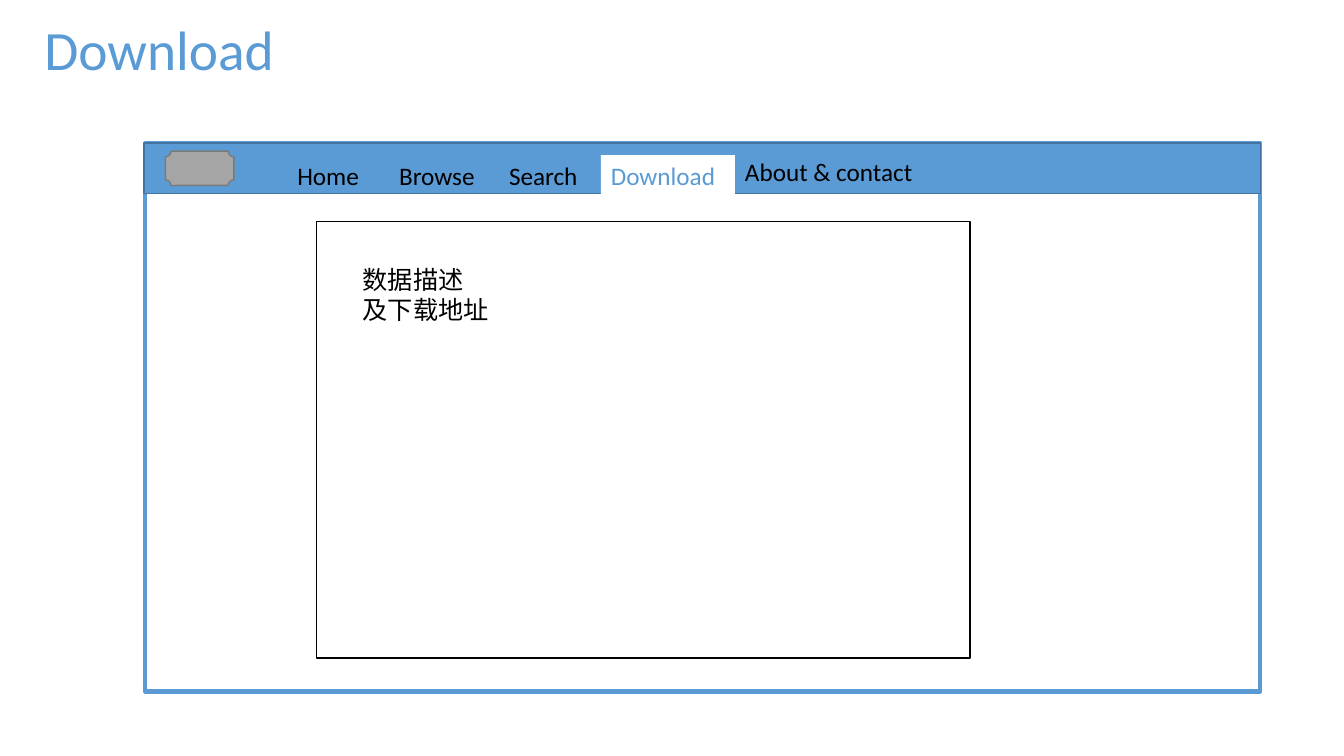
"""Build a wireframe slide of a website's download page."""
from pptx import Presentation
from pptx.dml.color import RGBColor
from pptx.enum.shapes import MSO_SHAPE
from pptx.enum.text import MSO_ANCHOR, PP_ALIGN
from pptx.util import Inches, Pt

COLORS = {
    "blue": "5B9BD5",
    "navy": "43739E",
    "grey": "A5A5A5",
    "dark_grey": "7A7A7A",
    "white": "FFFFFF",
    "black": "000000",
}
CELL = Inches(0.1)
TABS_LEFT, TABS_TOP, TAB_HEIGHT = 28.5, 15.4, 4
TABS = [("Home", 10.1), ("Browse", 10.9), ("Search", 10.1), ("Download", 13.3)]


def color(name):
    """Return the named colour."""
    return RGBColor.from_string(COLORS[name])


def cells(*counts):
    """Turn counts of grid cells into lengths."""
    return [round(count * CELL) for count in counts]


def write(shape, lines, size=18, ink="black", anchor=MSO_ANCHOR.TOP, spacing=None):
    """Write one left-aligned paragraph for each line."""
    frame = shape.text_frame
    frame.word_wrap = True
    frame.vertical_anchor = anchor
    for index, line in enumerate(lines):
        para = frame.add_paragraph() if index else frame.paragraphs[0]
        para.alignment = PP_ALIGN.LEFT
        para.line_spacing = spacing
        span = para.add_run()
        span.text = line
        span.font.name = "Calibri"
        span.font.size = Pt(size)
        span.font.color.rgb = color(ink)


def add_panel(page, area, fill="white", line=None, width=1, kind=MSO_SHAPE.RECTANGLE):
    """Add a filled shape, outlined if a line colour is given."""
    panel = page.shapes.add_shape(kind, *cells(*area))
    panel.shadow.inherit = False
    panel.fill.solid()
    panel.fill.fore_color.rgb = color(fill)
    if line:
        panel.line.color.rgb = color(line)
        panel.line.width = Pt(width)
    else:
        panel.line.fill.background()
    return panel


def add_label(page, area, *lines):
    """Add a text box."""
    write(page.shapes.add_textbox(*cells(*area)), lines)


def add_title(page, text):
    """Place and format the slide title."""
    title = page.shapes.title
    title.left, title.top, title.width, title.height = cells(3.4, 1.4, 29.8, 7.7)
    write(title, [text], size=39.6, ink="blue", anchor=MSO_ANCHOR.MIDDLE, spacing=0.9)


def add_tabs(page, active):
    """Add the navigation tabs side by side, with the active one highlighted."""
    left = TABS_LEFT
    for name, width in TABS:
        area = (left, TABS_TOP, width, TAB_HEIGHT)
        if name == active:
            write(add_panel(page, area), [name], ink="blue")
        else:
            add_label(page, area, name)
        left += width
    add_label(page, (left, 15, 19.8, TAB_HEIGHT), "About & contact")


def main():
    """Build and save the deck."""
    deck = Presentation()
    deck.slide_width, deck.slide_height = Inches(13.33), Inches(7.5)
    page = deck.slides.add_slide(deck.slide_layouts[5])
    add_title(page, "Download")
    add_panel(page, (14.4, 14.2, 110.6, 54.4), line="blue", width=3)
    add_panel(page, (14.3, 14.2, 110.7, 5), fill="blue", line="navy")
    add_panel(page, (16.4, 15, 6.8, 3.4), fill="grey", line="dark_grey", kind=MSO_SHAPE.PLAQUE)
    add_tabs(page, active="Download")
    add_panel(page, (31.4, 22, 64.8, 43.3), line="black")
    add_label(page, (35, 25.7, 21, 7.1), "数据描述", "及下载地址")
    deck.save("out.pptx")


if __name__ == "__main__":
    main()
